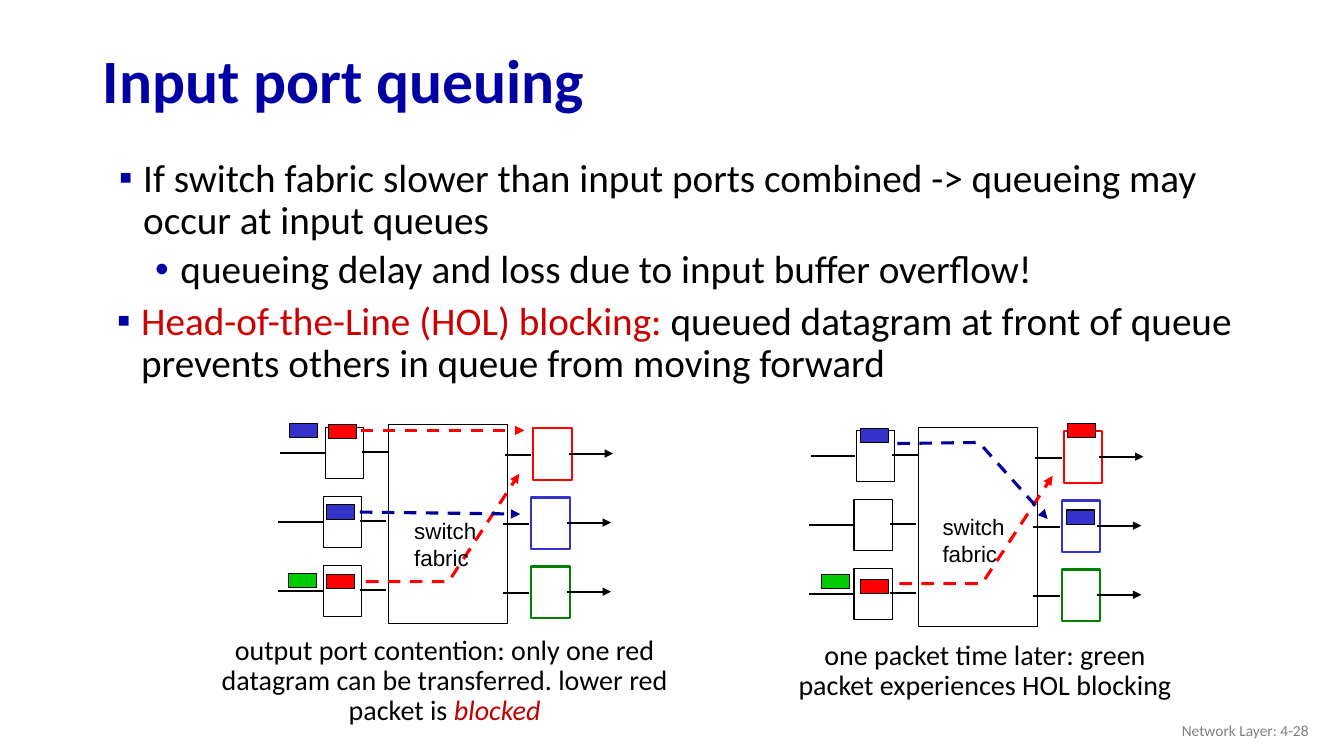
import pptx
import pptx.util
import pptx.dml.color
import pptx.enum.dml
import pptx.enum.shapes
import pptx.enum.text
from lxml import etree
from pptx.oxml.ns import qn

Inches = pptx.util.Inches
Pt = pptx.util.Pt
ALIGN = pptx.enum.text.PP_ALIGN
ANCHOR = pptx.enum.text.MSO_ANCHOR

COLORS = {
    "black": "000000", "white": "FFFFFF", "gray": "808080",
    "title": "0000A3", "term": "CC0000", "blocked": "C00000",
    "red": "FF0000", "blue": "3333CC", "green": "00CC00",
    "green port": "008000", "blue route": "000099",
}


def write(paragraph, words, size, color="black", font="Calibri", bold=None, italic=None):
    run = paragraph.add_run()
    run.text = words
    run.font.size = Pt(size)
    run.font.name = font
    run.font.bold = bold
    run.font.italic = italic
    run.font.color.rgb = pptx.dml.color.RGBColor.from_string(COLORS[color])


def route(shapes, points, color="black", dashed=False, arrow=True):
    stops = [(Inches(x), Inches(y)) for x, y in points]
    if len(stops) == 2:
        path_line = shapes.add_connector(
            pptx.enum.shapes.MSO_CONNECTOR.STRAIGHT, *stops[0], *stops[1])
    else:
        builder = shapes.build_freeform(*stops[0])
        builder.add_line_segments(stops[1:], close=False)
        path_line = builder.convert_to_shape()
        path_line.fill.background()
    path_line.line.color.rgb = pptx.dml.color.RGBColor.from_string(COLORS[color])
    path_line.line.width = Pt(2.25 if dashed else 1.5)
    if dashed:
        path_line.line.dash_style = pptx.enum.dml.MSO_LINE.DASH
    properties = path_line._element.spPr
    if arrow:
        etree.SubElement(properties.find(qn("a:ln")), qn("a:tailEnd"), type="triangle")
    etree.SubElement(properties, qn("a:effectLst"))


deck = pptx.Presentation()
deck.slide_width = Inches(13.33)
deck.slide_height = Inches(7.5)
slide = deck.slides.add_slide(deck.slide_layouts[3])
title, queueing, blocking = slide.placeholders

for part, (left, top, width, height) in (
    (title, (0.92, 0.34, 11.5, 0.98)),
    (queueing, (0.93, 1.52, 11.5, 1.48)),
    (blocking, (0.91, 2.94, 11.5, 1.08)),
):
    part.left, part.top = Inches(left), Inches(top)
    part.width, part.height = Inches(width), Inches(height)
    part.text_frame.auto_size = pptx.enum.text.MSO_AUTO_SIZE.NONE

title.text_frame.vertical_anchor = ANCHOR.MIDDLE
heading = title.text_frame.paragraphs[0]
heading.alignment = ALIGN.LEFT
heading.line_spacing = 0.9
write(heading, "Input port queuing", 44, "title", bold=True)

slower = queueing.text_frame.paragraphs[0]
overflow = queueing.text_frame.add_paragraph()
overflow.level = 1
head_of_line = blocking.text_frame.paragraphs[0]
write(slower, "If switch fabric slower than input ports combined -> queueing may occur at input queues", 28)
write(overflow, "queueing delay and loss due to input buffer overflow!", 28)
write(head_of_line, "Head-of-the-Line (HOL) blocking:", 28, "term")
write(head_of_line, " queued datagram at front of queue prevents others in queue from moving forward", 28)

for point, bullet, margin, indent, before in (
    (slower, "▪", 0.39, -0.24, 10),
    (overflow, "•", 0.76, -0.25, 5),
    (head_of_line, "▪", 0.39, -0.24, 10),
):
    point.line_spacing = 0.9
    point.space_before = Pt(before)
    properties = point._p.get_or_add_pPr()
    properties.set("marL", str(Inches(margin)))
    properties.set("indent", str(Inches(indent)))
    bullet_color = etree.SubElement(properties, qn("a:buClr"))
    etree.SubElement(bullet_color, qn("a:srgbClr"), val=COLORS["title"])
    etree.SubElement(properties, qn("a:buFont"), typeface="Arial")
    etree.SubElement(properties, qn("a:buChar"), char=bullet)

ROW = 0.685
PORT = (0.38, 0.51)
PACKET = (0.28, 0.14)

panels = [
    {
        "fabric": (3.85, 4.21),
        "label": (4.01, 5.08),
        "packets": [(3.26, 4.21, "red"), (3.24, 5.01, "blue"), (3.24, 5.7, "red"),
                    (2.87, 4.2, "blue"), (2.86, 5.69, "green")],
        "routes": [("red", [(3.58, 4.27), (5.2, 4.27)]),
                   ("red", [(3.63, 5.77), (4.45, 5.77), (5.15, 4.7)]),
                   ("blue route", [(3.57, 5.08), (5.16, 5.1)])],
        "caption": (1.97, 6.26, 4.88, 1.01),
        "words": [("output port contention: only one red datagram can be transferred. lower red packet is ", "black", None),
                  ("blocked", "blocked", True)],
    },
    {
        "fabric": (9.11, 4.24),
        "label": (9.25, 5.04),
        "packets": [(10.59, 4.2, "red"), (8.53, 4.25, "blue"), (8.53, 5.75, "red"),
                    (8.15, 5.7, "green"), (10.58, 5.06, "blue")],
        "routes": [("red", [(8.92, 5.79), (9.74, 5.79), (10.44, 4.72)]),
                   ("blue route", [(8.9, 4.4), (9.71, 4.39), (10.39, 5.15)])],
        "caption": (7.81, 6.31, 3.92, 0.71),
        "words": [("one packet time later: green packet experiences HOL blocking", "black", None)],
    },
]

for panel in panels:
    diagram = slide.shapes.add_group_shape().shapes
    left, top = panel["fabric"]
    boxes = [(left, top, 1.18, 1.98, "white", "black", 0.75)]
    wires = []
    for row, port_color in enumerate(("red", "blue", "green port")):
        x = left - (0.02 if row else 0)
        y = top + row * ROW
        boxes.append((x - 0.62, y + 0.03, *PORT, "white", "black", 0.75))
        boxes.append((x + 1.44, y + 0.04, *PORT, "white", port_color, 1.5))
        wires += [(x + 1.16, x + 1.42, y + 0.3, False), (x - 0.26, x, y + 0.27, False),
                  (x - 1.07, x - 0.63, y + 0.28, False), (x + 1.79, x + 2.23, y + 0.29, True)]
    boxes += [(x, y, *PACKET, color, "black", 0.75) for x, y, color in panel["packets"]]

    for x, y, width, height, fill, outline, weight in boxes:
        box = diagram.add_shape(pptx.enum.shapes.MSO_SHAPE.RECTANGLE,
                                Inches(x), Inches(y), Inches(width), Inches(height))
        box.shadow.inherit = False
        box.fill.solid()
        box.fill.fore_color.rgb = pptx.dml.color.RGBColor.from_string(COLORS[fill])
        box.line.color.rgb = pptx.dml.color.RGBColor.from_string(COLORS[outline])
        box.line.width = Pt(weight)

    for start, end, y, arrow in wires:
        route(diagram, [(start, y), (end, y)], arrow=arrow)
    for color, points in panel["routes"]:
        route(diagram, points, color, dashed=True)

    x, y = panel["label"]
    label = diagram.add_textbox(Inches(x), Inches(y), Inches(0.82), Inches(0.64)).text_frame
    label.word_wrap = False
    write(label.paragraphs[0], "switch", 16, font="Arial")
    write(label.add_paragraph(), "fabric", 16, font="Arial")

    caption = slide.shapes.add_textbox(*map(Inches, panel["caption"])).text_frame
    caption.word_wrap = True
    caption.paragraphs[0].alignment = ALIGN.CENTER
    caption.paragraphs[0].line_spacing = 0.9
    for words, color, italic in panel["words"]:
        write(caption.paragraphs[0], words, 20, color, italic=italic)

footer = slide.shapes.add_textbox(Inches(10.08), Inches(7.05), Inches(3), Inches(0.4)).text_frame
footer.word_wrap = True
footer.vertical_anchor = ANCHOR.MIDDLE
footer.paragraphs[0].alignment = ALIGN.RIGHT
write(footer.paragraphs[0], "Network Layer: 4-28", 11, "gray")

deck.save("out.pptx")
